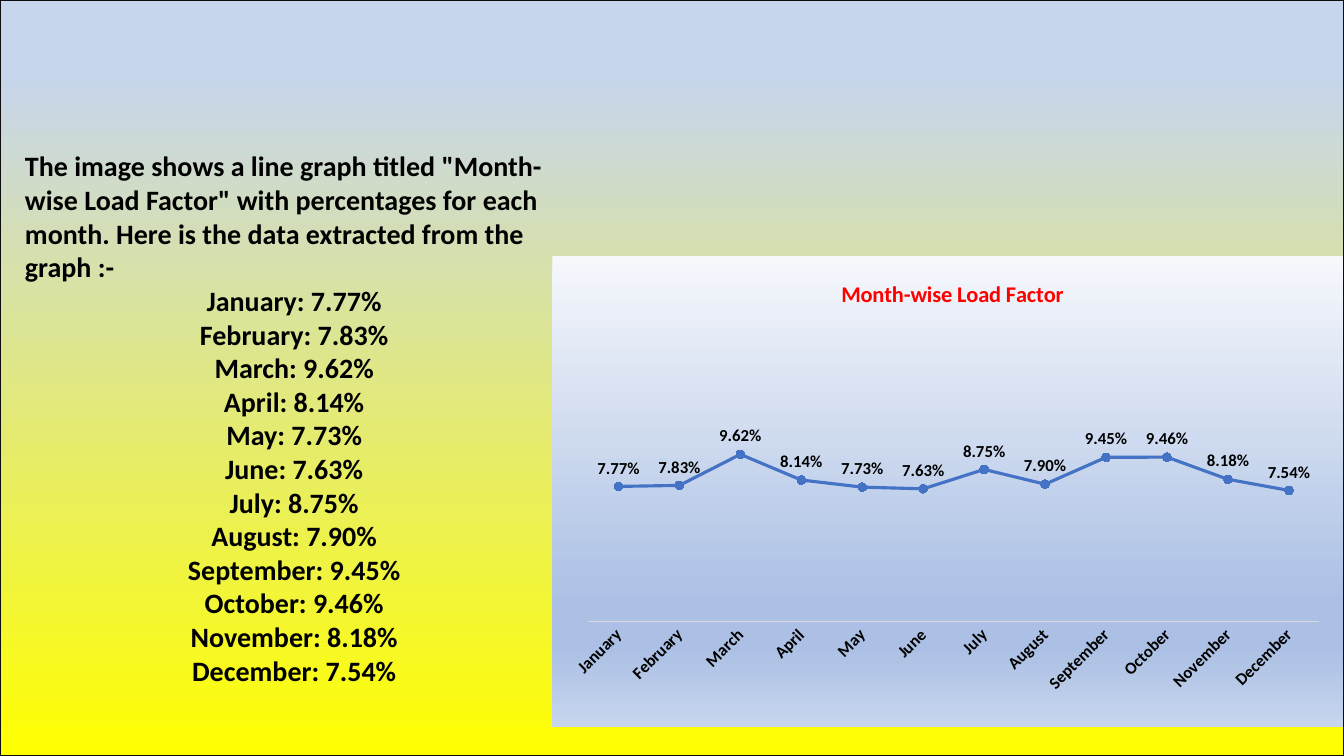
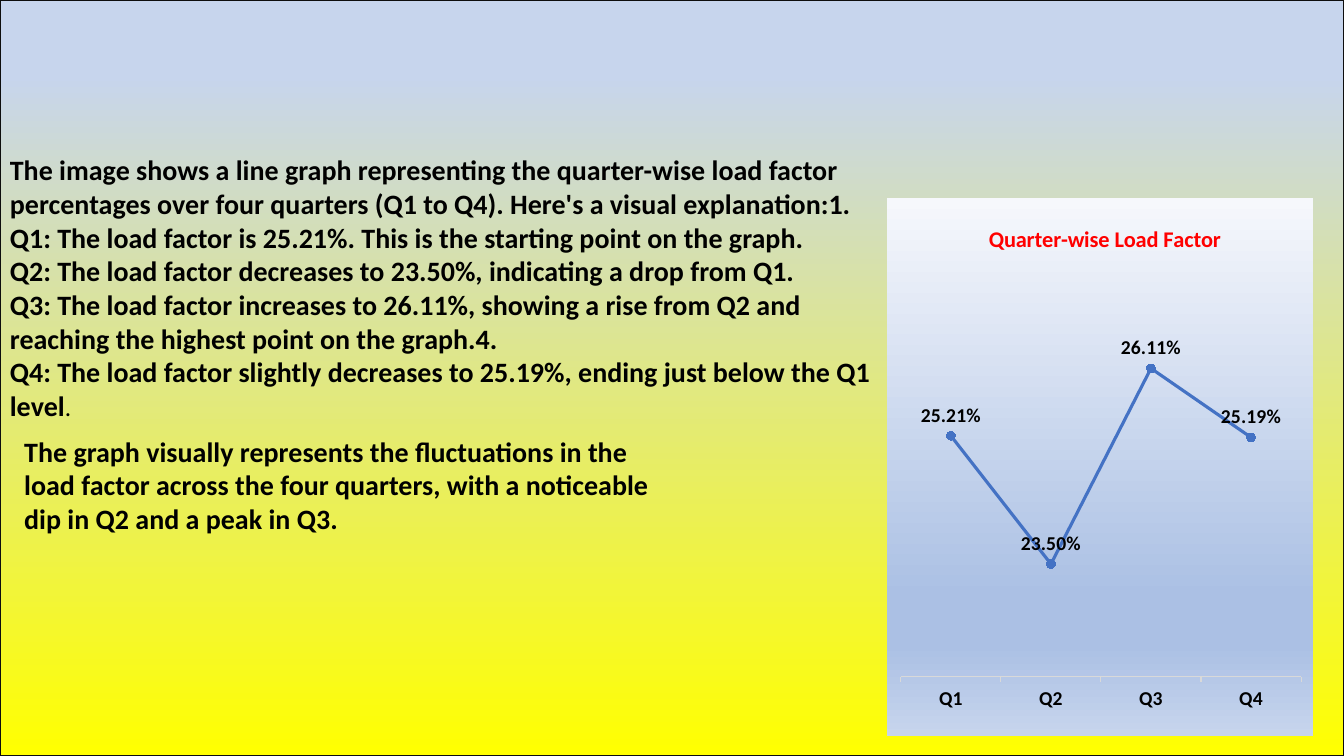
from dataclasses import dataclass
from typing import NamedTuple

import lxml.etree
import pptx
import pptx.chart.data
import pptx.dml.color
import pptx.enum.chart
import pptx.enum.shapes
import pptx.enum.text
import pptx.oxml
import pptx.oxml.ns
import pptx.util

Cm = pptx.util.Cm
Pt = pptx.util.Pt
qn = pptx.oxml.ns.qn
CENTER = pptx.enum.text.PP_ALIGN.CENTER
LEFT = pptx.enum.text.PP_ALIGN.LEFT
TICK = pptx.enum.chart.XL_TICK_MARK


@dataclass(frozen=True)
class Theme:
    font: str = "Calibri"
    text: str = "000000"
    title: str = "FF0000"
    series: str = "4472C4"
    axis: str = "D9D9D9"
    frame: str = "0D0D0D"
    background: tuple = ((10, "C7D5ED"), (100, "FFFF00"))
    panel: tuple = ((0, "F6F8FC"), (74, "ABC0E4"), (83, "ABC0E4"), (100, "C7D5ED"))
    body_size: int = 20
    small_size: int = 18
    title_size: int = 16


class Box(NamedTuple):
    left: int
    top: int
    width: int
    height: int


class ChartStyle(NamedTuple):
    """Plot and title_left are fractions of the chart box."""
    label_size: int
    tick_mark: object
    label_rotation: int
    scale: tuple
    plot: tuple
    title_left: float


THEME = Theme()
PERCENT = "0.00%"
SLIDE = Box(0, 0, Cm(33.87), Cm(19.05))

MONTHLY = {
    "January": 0.0777, "February": 0.0783, "March": 0.0962, "April": 0.0814,
    "May": 0.0773, "June": 0.0763, "July": 0.0875, "August": 0.0790,
    "September": 0.0945, "October": 0.0946, "November": 0.0818, "December": 0.0754,
}
QUARTERLY = {"Q1": 0.2521, "Q2": 0.2350, "Q3": 0.2611, "Q4": 0.2519}

MONTH_STYLE = ChartStyle(12, TICK.NONE, -45, (0, 0.12), (0.045, 0.334, 0.924, 0.442), 0.36)
QUARTER_STYLE = ChartStyle(14, TICK.OUTSIDE, 0, (0.22, 0.265), (0.033, 0.262, 0.939, 0.628), 0.23)

MONTH_INTRO = (
    'The image shows a line graph titled "Month-wise Load Factor" with percentages '
    "for each month. Here is the data extracted from the graph :-"
)
QUARTER_NOTES = (
    "The image shows a line graph representing the quarter-wise load factor percentages "
    "over four quarters (Q1 to Q4). Here's a visual explanation:1.",
    "Q1: The load factor is 25.21%. This is the starting point on the graph.",
    "Q2: The load factor decreases to 23.50%, indicating a drop from Q1.",
    "Q3: The load factor increases to 26.11%, showing a rise from Q2 and reaching "
    "the highest point on the graph.4.",
    "Q4: The load factor slightly decreases to 25.19%, ending just below the Q1 level",
)
QUARTER_SUMMARY = (
    "The graph visually represents the fluctuations in the load factor across the four "
    "quarters, with a noticeable dip in Q2 and a peak in Q3."
)


def rgb(value):
    return pptx.dml.color.RGBColor.from_string(value)


def style_font(font, size, color=THEME.text, bold=True):
    font.name = THEME.font
    font.size = Pt(size)
    font.bold = bold
    font.color.rgb = rgb(color)


def add_run(paragraph, text, size=THEME.body_size, bold=True):
    run = paragraph.add_run()
    run.text = text
    style_font(run.font, size, bold=bold)


def vertical_gradient(stops):
    """Return a top-to-bottom a:gradFill element."""
    gradient = lxml.etree.Element(qn("a:gradFill"), rotWithShape="1")
    stop_list = lxml.etree.SubElement(gradient, qn("a:gsLst"))
    for percent, color in stops:
        stop = lxml.etree.SubElement(stop_list, qn("a:gs"), pos=str(percent * 1000))
        lxml.etree.SubElement(stop, qn("a:srgbClr"), val=color)
    lxml.etree.SubElement(gradient, qn("a:lin"), ang="5400000", scaled="1")
    return gradient


def paint_background(master):
    master.background.fill.solid()
    properties = master.element.find(".//" + qn("p:bgPr"))
    properties.replace(properties[0], vertical_gradient(THEME.background))


def paint_chart_panel(chart):
    properties = lxml.etree.Element(qn("c:spPr"))
    properties.append(vertical_gradient(THEME.panel))
    line = lxml.etree.SubElement(properties, qn("a:ln"))
    lxml.etree.SubElement(line, qn("a:noFill"))
    chart.element.find(qn("c:chart")).addnext(properties)


def set_layout(parent, index, settings):
    """Give a chart part a manual layout, as its child number index."""
    for old_layout in parent.findall(qn("c:layout")):
        parent.remove(old_layout)
    layout = lxml.etree.Element(qn("c:layout"))
    manual = lxml.etree.SubElement(layout, qn("c:manualLayout"))
    for name, value in settings.items():
        lxml.etree.SubElement(manual, qn("c:" + name), val=str(value))
    parent.insert(index, layout)


def add_text_box(slide, box, paragraphs):
    """Paragraphs are (text, alignment) pairs; returns the last paragraph."""
    shape = slide.shapes.add_textbox(*box)
    frame = shape.text_frame
    frame.word_wrap = True
    frame.auto_size = pptx.enum.text.MSO_AUTO_SIZE.SHAPE_TO_FIT_TEXT
    for number, (text, alignment) in enumerate(paragraphs):
        paragraph = frame.add_paragraph() if number else frame.paragraphs[0]
        paragraph.alignment = alignment
        add_run(paragraph, text)
    return paragraph


def add_title(chart, text, box, left):
    chart.has_title = True
    title = chart.chart_title
    run = title.text_frame.paragraphs[0].add_run()
    run.text = text
    style_font(run.font, THEME.title_size, THEME.title)
    title.include_in_layout = False
    top = round(Cm(0.5) / box.height, 2)
    set_layout(title._element, 1, {"xMode": "edge", "yMode": "edge", "x": left, "y": top})


def style_axes(chart, style):
    category_axis = chart.category_axis
    category_axis.major_tick_mark = style.tick_mark
    category_axis.minor_tick_mark = TICK.NONE
    category_axis.has_major_gridlines = False
    category_axis.format.line.color.rgb = rgb(THEME.axis)
    category_axis.format.line.width = Pt(0.75)
    style_font(category_axis.tick_labels.font, style.label_size)
    if style.label_rotation:
        body = category_axis._element.find(".//" + qn("a:bodyPr"))
        body.set("rot", str(style.label_rotation * 60000))
        body.set("vert", "horz")
    value_axis = chart.value_axis
    value_axis.minimum_scale, value_axis.maximum_scale = style.scale
    value_axis.has_major_gridlines = False
    value_axis.visible = False


def style_series(plot, label_size):
    plot.vary_by_categories = False
    series = plot.series[0]
    series.smooth = False
    series.format.line.color.rgb = rgb(THEME.series)
    series.format.line.width = Pt(2.25)
    marker = series.marker
    marker.style = pptx.enum.chart.XL_MARKER_STYLE.CIRCLE
    marker.size = 6
    marker.format.fill.solid()
    marker.format.fill.fore_color.rgb = rgb(THEME.series)
    marker.format.line.color.rgb = rgb(THEME.series)
    labels = series.data_labels
    labels.show_value = True
    labels.position = pptx.enum.chart.XL_LABEL_POSITION.ABOVE
    labels.number_format = PERCENT
    labels.number_format_is_linked = False
    style_font(labels.font, label_size)


def add_load_chart(slide, box, title, values, style):
    data = pptx.chart.data.CategoryChartData(number_format=PERCENT)
    data.categories = list(values)
    data.add_series("Series 1", list(values.values()))
    chart_type = pptx.enum.chart.XL_CHART_TYPE.LINE_MARKERS
    chart = slide.shapes.add_chart(chart_type, *box, data).chart
    style_font(chart.font, 10, bold=False)
    chart.has_legend = False
    add_title(chart, title, box, style.title_left)
    style_axes(chart, style)
    style_series(chart.plots[0], style.label_size)
    paint_chart_panel(chart)
    modes = {"layoutTarget": "inner", "xMode": "edge", "yMode": "edge"}
    plot_area = chart.element.find(".//" + qn("c:plotArea"))
    set_layout(plot_area, 0, modes | dict(zip("xywh", style.plot)))


def add_frame(slide, box):
    shape = slide.shapes.add_shape(pptx.enum.shapes.MSO_SHAPE.RECTANGLE, *box)
    shape.shadow.inherit = False
    shape.fill.background()
    shape.line.color.rgb = rgb(THEME.frame)
    shape.line.width = Pt(2)


def build_month_slide(slide, box):
    chart_box = Box(box.left + Cm(13.92), box.top + Cm(6.45), Cm(19.95), Cm(11.86))
    add_load_chart(slide, chart_box, "Month-wise Load Factor", MONTHLY, MONTH_STYLE)
    text_box = Box(box.left + Cm(0.38), box.top + Cm(3.63), Cm(14.07), Cm(13.94))
    readings = [(f"{month}: {value:.2%}", CENTER) for month, value in MONTHLY.items()]
    add_text_box(slide, text_box, [(MONTH_INTRO, LEFT)] + readings)
    add_frame(slide, box)


def build_quarter_slide(slide, box):
    notes_box = Box(box.left, box.top + Cm(3.73), Cm(22.35), Cm(7.09))
    last = add_text_box(slide, notes_box, [(note, LEFT) for note in QUARTER_NOTES])
    add_run(last, ".", THEME.small_size, bold=False)
    summary_top = notes_box.top + notes_box.height
    summary_box = Box(box.left + Cm(0.36), summary_top, Cm(17.04), Cm(2.82))
    add_text_box(slide, summary_box, [(QUARTER_SUMMARY, LEFT)])
    chart_box = Box(box.left + notes_box.width, box.top + Cm(5), Cm(10.74), Cm(13.54))
    add_load_chart(slide, chart_box, "Quarter-wise Load Factor", QUARTERLY, QUARTER_STYLE)
    add_frame(slide, box)


def main():
    presentation = pptx.Presentation()
    presentation.slide_width = SLIDE.width
    presentation.slide_height = SLIDE.height
    paint_background(presentation.slide_master)
    blank = presentation.slide_layouts[6]
    for build in (build_month_slide, build_quarter_slide):
        build(presentation.slides.add_slide(blank), SLIDE)
    presentation.save("out.pptx")


if __name__ == "__main__":
    main()
